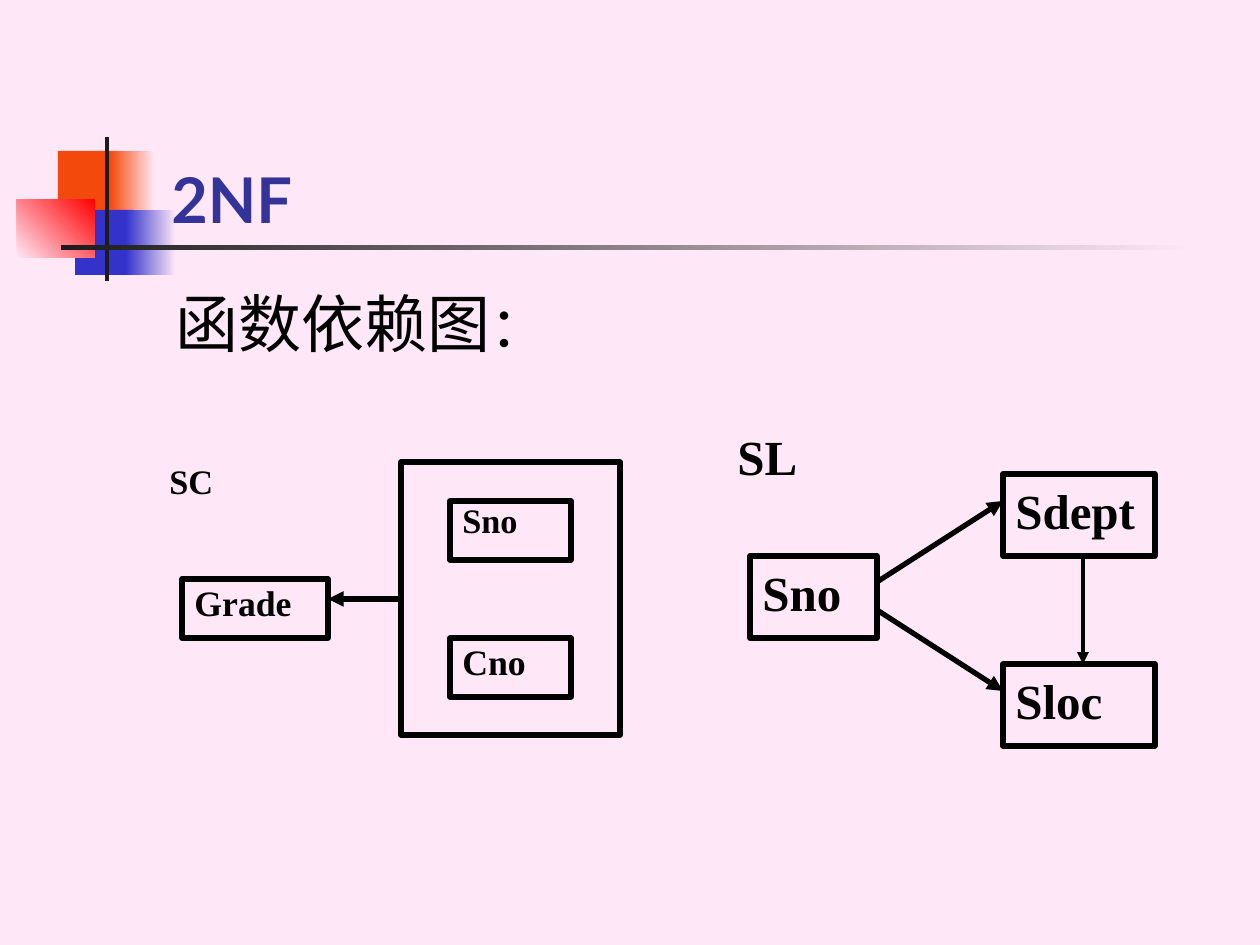
import pptx
import pptx.dml.color
import pptx.enum.shapes
import pptx.enum.text
import pptx.oxml
import pptx.oxml.ns
import pptx.util

EMU_PER_PX = 914400 // 126
BACKGROUND, BLACK, DARK = "FEE8F7", "000000", "1C1C1C"
ORANGE, BLUE, RED = "F4490C", "3333CC", "FF0000"
SERIF, SANS = "Times New Roman", "Lato"
ALIGN = pptx.enum.text.PP_ALIGN
ANCHOR = pptx.enum.text.MSO_ANCHOR


def px(*lengths):
    return [pptx.util.Emu(length * EMU_PER_PX) for length in lengths]


def color(value):
    return pptx.dml.color.RGBColor.from_string(value)


def add_rectangle(page, bounds, fill=None, fade_to=None, angle=0, line=None):
    """Add a plain, gradient or outlined rectangle."""
    box = page.shapes.add_shape(pptx.enum.shapes.MSO_SHAPE.RECTANGLE, *px(*bounds))
    box.shadow.inherit = False
    if fade_to:
        box.fill.gradient()
        box.fill.gradient_angle = angle
        for stop, value in zip(box.fill.gradient_stops, (fill, fade_to)):
            stop.color.rgb = color(value)
    elif fill:
        box.fill.solid()
        box.fill.fore_color.rgb = color(fill)
    else:
        box.fill.background()
    if line:
        box.line.color.rgb = color(BLACK)
        box.line.width = pptx.util.Pt(line)
    else:
        box.line.fill.background()
    return box


def write(box, *texts, sizes=(28,), font=SERIF, ink=BLACK, bold=True,
          align=ALIGN.JUSTIFY, anchor=ANCHOR.TOP, spacing=1.0):
    """Write one paragraph, with one size for each piece of text."""
    frame = box.text_frame
    frame.word_wrap = True
    frame.vertical_anchor = anchor
    para = frame.paragraphs[0]
    para.alignment = align
    para.line_spacing = spacing
    for text, size in zip(texts, sizes):
        span = para.add_run()
        span.text = text
        span.font.name = font
        span.font.size = pptx.util.Pt(size)
        span.font.bold = bold
        span.font.color.rgb = color(ink)


def add_label(page, bounds, *texts, **text_format):
    write(page.shapes.add_textbox(*px(*bounds)), *texts, **text_format)


def add_node(page, bounds, text, **text_format):
    write(add_rectangle(page, bounds, line=3), text, **text_format)


def add_arrow(page, start, end, width=3):
    arrow = page.shapes.add_connector(
        pptx.enum.shapes.MSO_CONNECTOR.STRAIGHT, *px(*start, *end))
    arrow.line.color.rgb = color(BLACK)
    arrow.line.width = pptx.util.Pt(width)
    head = pptx.oxml.parse_xml(
        f'<a:tailEnd {pptx.oxml.ns.nsdecls("a")} type="triangle"/>')
    arrow.line._get_or_add_ln().append(head)
    arrow._element.spPr.append(
        pptx.oxml.parse_xml(f'<a:effectLst {pptx.oxml.ns.nsdecls("a")}/>'))


def add_decoration(page):
    """Add the coloured squares and the crossing bars."""
    add_rectangle(page, (58, 151, 60, 66), ORANGE)
    add_rectangle(page, (110, 151, 45, 66), ORANGE, BACKGROUND)
    add_rectangle(page, (75, 210, 58, 65), BLUE)
    add_rectangle(page, (126, 210, 50, 65), BLUE, BACKGROUND)
    add_rectangle(page, (17, 199, 78, 59), BACKGROUND, RED, angle=45)
    add_rectangle(page, (105, 137, 4, 144), DARK)
    add_rectangle(page, (61, 245, 1134, 5), DARK, BACKGROUND)


def add_sc_diagram(page):
    """Sno and Cno together determine Grade."""
    add_rectangle(page, (401, 462, 219, 273), line=3)
    add_node(page, (450, 501, 121, 59), "Sno", sizes=(19.6,), spacing=0.8)
    add_node(page, (450, 638, 121, 59), "Cno", sizes=(20.4,), spacing=0.9)
    add_node(page, (182, 579, 146, 59), "Grade", sizes=(20.4,), spacing=0.9)
    add_arrow(page, (401, 599), (328, 599))
    add_label(page, (157, 462, 122, 58), "SC", sizes=(19.6,), spacing=0.8)


def add_sl_diagram(page):
    """Sno determines Sdept and Sloc, and Sdept determines Sloc."""
    add_label(page, (725, 420, 152, 82), "SL")
    add_node(page, (750, 556, 127, 82), "Sno")
    add_node(page, (1003, 474, 152, 82), "Sdept")
    add_node(page, (1003, 664, 152, 82), "Sloc")
    add_arrow(page, (877, 582), (1003, 501))
    add_arrow(page, (877, 610), (1003, 691))
    add_arrow(page, (1083, 556), (1083, 664), width=2.25)


def main():
    deck = pptx.Presentation()
    deck.slide_width, deck.slide_height = px(1260, 945)
    page = deck.slides.add_slide(deck.slide_layouts[6])
    page.background.fill.solid()
    page.background.fill.fore_color.rgb = color(BACKGROUND)

    add_decoration(page)
    # Title and heading
    add_label(page, (159, 84, 1074, 158), "2NF", sizes=(36,), font=SANS,
              ink="333399", align=ALIGN.LEFT, anchor=ANCHOR.BOTTOM)
    add_label(page, (163, 278, 1071, 567), "函数依赖图", "：", sizes=(36, 32),
              font=SANS, bold=False, align=ALIGN.LEFT)
    # Dependency diagrams
    add_sc_diagram(page)
    add_sl_diagram(page)
    deck.save("out.pptx")


if __name__ == "__main__":
    main()
